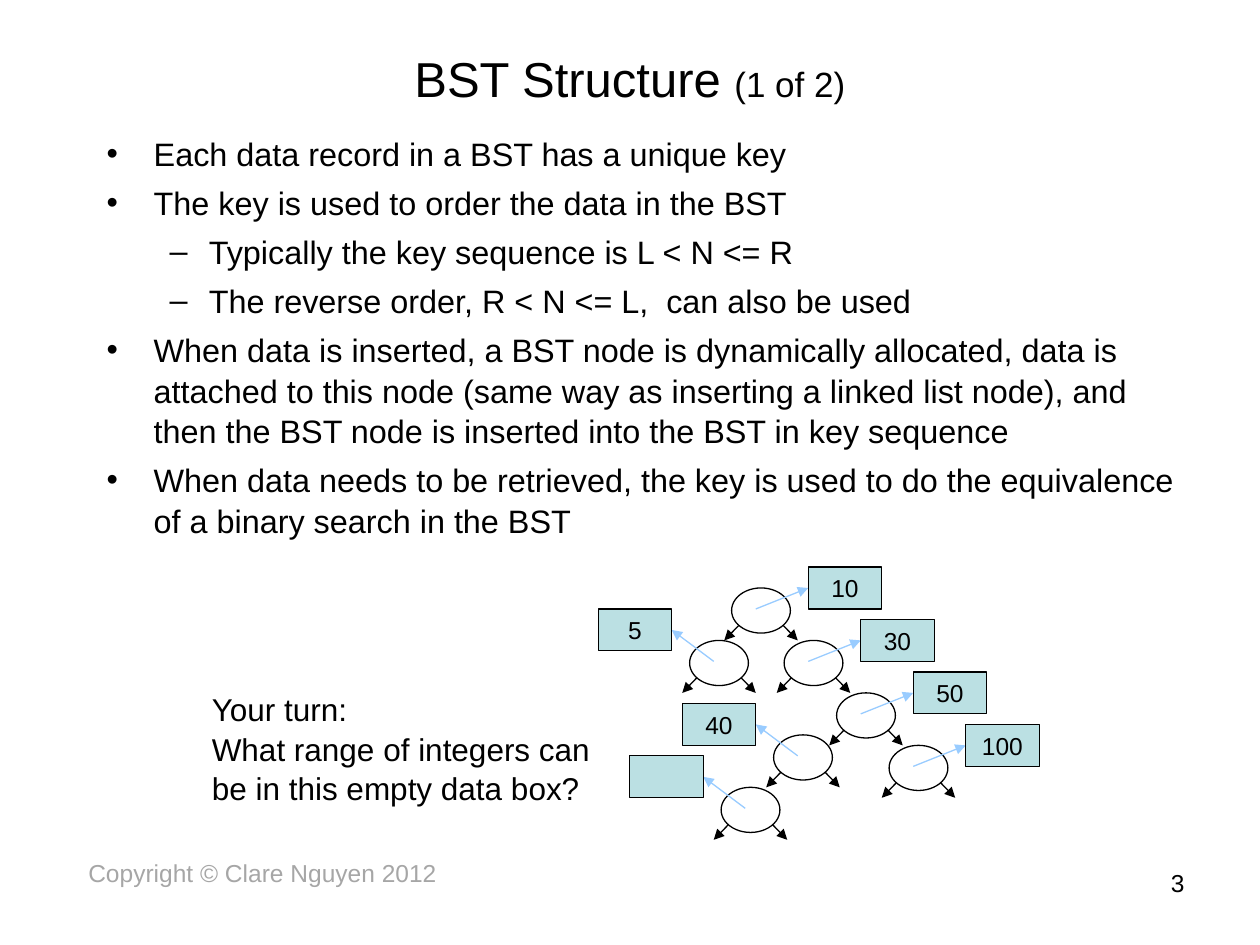
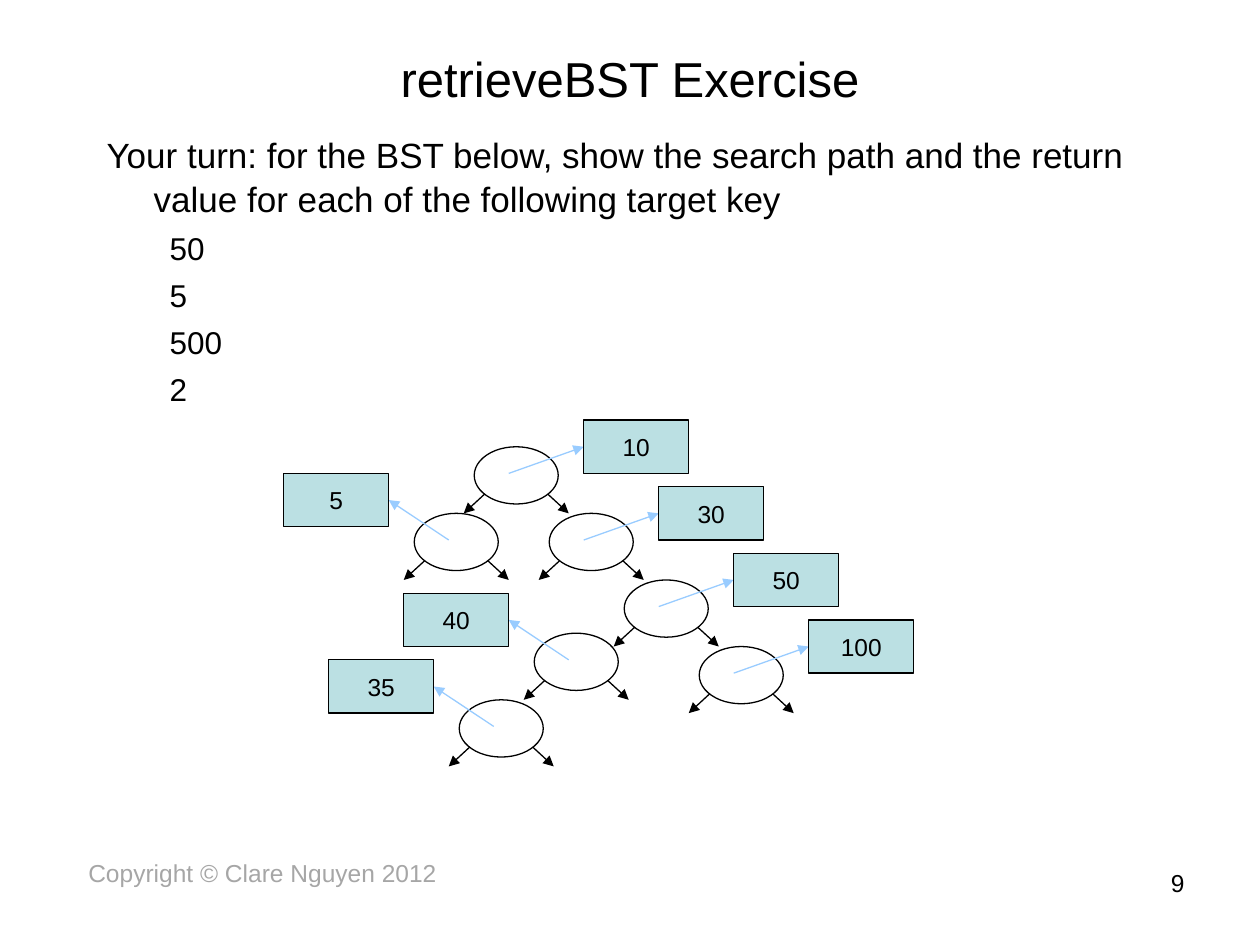
import lxml.etree
import pptx
import pptx.dml.color
import pptx.enum.shapes
import pptx.enum.text
import pptx.oxml.ns
import pptx.util

Cm = pptx.util.Cm
Pt = pptx.util.Pt
ALIGN = pptx.enum.text.PP_ALIGN
ANCHOR = pptx.enum.text.MSO_ANCHOR
SHAPE = pptx.enum.shapes.MSO_SHAPE
qn = pptx.oxml.ns.qn

COLORS = {"text": "000000", "footer": "A6A6A6", "data": "BBE0E3", "pointer": "99CCFF"}
FONT = "Arial"
LINE_SPACING = 1.04

TITLE_BOX = (1.27, 0.76, 22.86, 1.57)
COPYRIGHT_BOX = (1.27, 17.15, 8.05, 1.32)
NUMBER_BOX = (18.21, 17.35, 5.92, 1.32)

# Left margin and hanging indent in cm for each outline level
INDENTS = [(0.95, -0.95), (2.06, -0.79)]

# The tree is laid out on a grid: column and row of each node, side of its data box
TREE_COLUMNS, TREE_ROWS = 42, 26
TREE_NODES = {
    "30": (17, 7, "right"),
    "10": (12, 2, "right"),
    "35": (11, 21, "left"),
    "50": (22, 12, "right"),
    "100": (27, 17, "right"),
    "5": (8, 7, "left"),
    "40": (16, 16, "left"),
}
CHILD_ARROWS = [((5.6, 3.55), (7, 5)), ((1.4, 3.55), (0, 5))]
# For each side: data box offset from its node, and the pointer's end
DATA_OFFSETS = {"right": ((8, -2), (8, 0)), "left": ((-8, -3), (-1, -1))}


def rgb(name):
    return pptx.dml.color.RGBColor.from_string(COLORS[name])


def apply(target, values):
    for name, value in values.items():
        setattr(target, name, value)


def add_run(paragraph, text, size, color="text"):
    run = paragraph.add_run()
    run.text = text
    apply(run.font, {"size": Pt(size), "name": FONT})
    run.font.color.rgb = rgb(color)


def add_text(slide, box, lines, align=ALIGN.LEFT, anchor=ANCHOR.TOP, color="text"):
    """Add a text box; each line is a list of (text, size) runs."""
    frame = slide.shapes.add_textbox(*map(Cm, box)).text_frame
    apply(frame, {"word_wrap": True, "vertical_anchor": anchor})
    for index, runs in enumerate(lines):
        paragraph = frame.paragraphs[0] if index == 0 else frame.add_paragraph()
        apply(paragraph, {"alignment": align, "line_spacing": LINE_SPACING})
        for text, size in runs:
            add_run(paragraph, text, size, color)
    return frame


def add_frame(slide, title_runs, number):
    """Add the title, copyright line and slide number."""
    add_text(slide, COPYRIGHT_BOX, [[("Copyright © Clare Nguyen 2012", 14)]],
             ALIGN.CENTER, color="footer")
    add_text(slide, NUMBER_BOX, [[(str(number), 14)]], ALIGN.RIGHT)
    add_text(slide, TITLE_BOX, [title_runs], ALIGN.CENTER, ANCHOR.MIDDLE)


def add_outline(slide, box, items, sizes, spaces, bullets=None):
    """Add indented paragraphs; items are (level, text), formats go by level."""
    frame = add_text(slide, box, [[(text, sizes[level])] for level, text in items])
    for paragraph, (level, _) in zip(frame.paragraphs, items):
        paragraph.level = level
        paragraph.space_before = Pt(spaces[level])
        properties = paragraph._p.get_or_add_pPr()
        for name, length in zip(("marL", "indent"), INDENTS[level]):
            properties.set(name, str(Cm(length)))
        if bullets:
            font = lxml.etree.SubElement(properties, qn("a:buFont"))
            font.set("typeface", FONT)
            bullet = lxml.etree.SubElement(properties, qn("a:buChar"))
            bullet.set("char", bullets[level])
        else:
            lxml.etree.SubElement(properties, qn("a:buNone"))


def add_arrow(slide, start, end, color):
    connector = slide.shapes.add_connector(
        pptx.enum.shapes.MSO_CONNECTOR.STRAIGHT, *start, *end)
    connector.line.width = Pt(0.75)
    connector.line.color.rgb = rgb(color)
    line = connector.line._get_or_add_ln()
    lxml.etree.SubElement(line, qn("a:tailEnd")).set("type", "triangle")
    lxml.etree.SubElement(connector._element.spPr, qn("a:effectLst"))


def add_outlined_shape(slide, kind, corner, size, fill=None):
    shape = slide.shapes.add_shape(kind, *corner, *size)
    shape.shadow.inherit = False
    if fill:
        shape.fill.solid()
        shape.fill.fore_color.rgb = rgb(fill)
    else:
        shape.fill.background()
    shape.line.width = Pt(0.75)
    shape.line.color.rgb = rgb("text")
    return shape


def add_tree(slide, box, empty_keys=()):
    """Draw the search tree scaled to the box, leaving some data boxes empty."""
    left, top, width, height = map(Cm, box)

    def scale(columns, rows):
        return round(width * columns / TREE_COLUMNS), round(height * rows / TREE_ROWS)

    for key, (column, row, side) in TREE_NODES.items():
        def place(offset):
            x, y = scale(column + offset[0], row + offset[1])
            return left + x, top + y

        add_outlined_shape(slide, SHAPE.OVAL, place((0.7, 0)), scale(5.6, 4.3))
        for start, end in CHILD_ARROWS:
            add_arrow(slide, place(start), place(end), "text")
        data_corner, pointer_end = DATA_OFFSETS[side]
        add_arrow(slide, place((3, 2)), place(pointer_end), "pointer")
        data_box = add_outlined_shape(
            slide, SHAPE.RECTANGLE, place(data_corner), scale(7, 4), "data")
        if key not in empty_keys:
            frame = data_box.text_frame
            apply(frame, {"word_wrap": False, "vertical_anchor": ANCHOR.MIDDLE})
            frame.paragraphs[0].alignment = ALIGN.CENTER
            add_run(frame.paragraphs[0], key, 14)


def add_structure_slide(slide):
    add_frame(slide, [("BST Structure ", 28), ("(1 of 2)", 20)], 3)
    add_outline(slide, (1.9, 2.54, 22.02, 8.89), [
        (0, "Each data record in a BST has a unique key"),
        (0, "The key is used to order the data in the BST"),
        (1, "Typically the key sequence is L < N <= R"),
        (1, "The reverse order, R < N <= L,  can also be used"),
        (0, "When data is inserted, a BST node is dynamically allocated, data is "
            "attached to this node (same way as inserting a linked list node), and "
            "then the BST node is inserted into the BST in key sequence"),
        (0, "When data needs to be retrieved, the key is used to do the equivalence "
            "of a binary search in the BST"),
    ], sizes=(18.5, 18.5), spaces=(5, 5), bullets="•–")
    add_tree(slide, (12.06, 11.43, 8.89, 5.5), empty_keys=("35",))
    add_text(slide, (4.02, 13.76, 8.69, 2.54), [
        [("Your turn:", 18)],
        [("What range of integers can be in this empty data box?", 18)],
    ])


def add_exercise_slide(slide):
    add_frame(slide, [("retrieveBST Exercise", 28)], 9)
    question = ("Your turn: for the BST below, show the search path and the return "
                "value for each of the following target key")
    targets = ["50", "5", "500", "2"]
    add_outline(slide, (1.9, 2.54, 22.02, 6.15),
                [(0, question)] + [(1, target) for target in targets],
                sizes=(20, 18), spaces=(5, 4.5))
    add_tree(slide, (5.72, 8.47, 12.7, 6.98))


def main():
    presentation = pptx.Presentation()
    apply(presentation, {"slide_width": Cm(25.4), "slide_height": Cm(19.05)})
    blank = presentation.slide_layouts[6]
    for build in (add_structure_slide, add_exercise_slide):
        build(presentation.slides.add_slide(blank))
    presentation.save("out.pptx")


if __name__ == "__main__":
    main()
